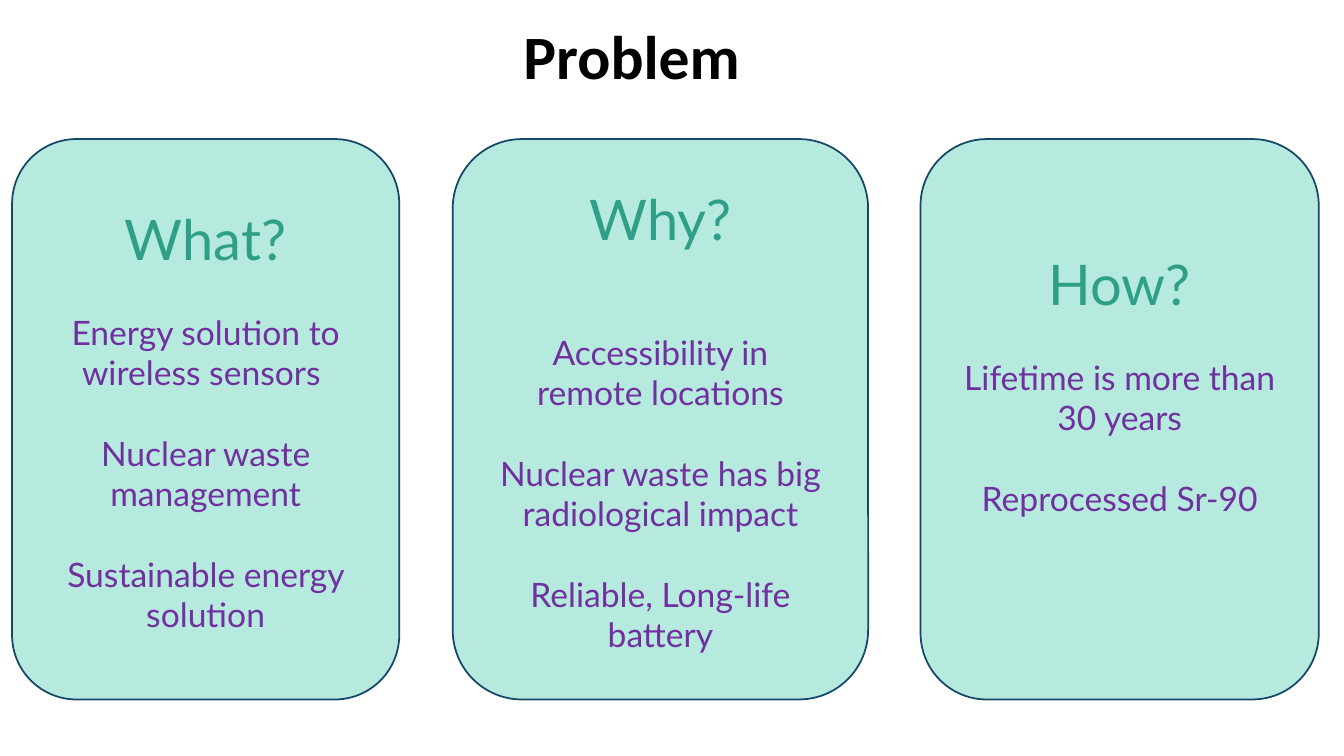
from pptx import Presentation
from pptx.dml.color import RGBColor
from pptx.enum.shapes import MSO_SHAPE
from pptx.enum.text import MSO_ANCHOR, PP_ALIGN
from pptx.util import Inches, Pt

ROUNDED = MSO_SHAPE.ROUNDED_RECTANGLE
TOP, MIDDLE = MSO_ANCHOR.TOP, MSO_ANCHOR.MIDDLE
CENTER = PP_ALIGN.CENTER
CARD_TOP, CARD_HEIGHT = 1.38, 5.56
BODY_LINE = 28.8

CARDS = [
    (0.12, 3.84, "What?", 1, 0.05,
     ["Energy solution to wireless sensors\u00a0",
      "Nuclear waste management",
      "Sustainable energy solution"]),
    (4.49, 4.12, "Why?", 2, 0.05,
     ["Accessibility\u00a0in remote\u00a0locations",
      "Nuclear waste has big radiological impact",
      "Reliable, Long-life battery"]),
    (9.13, 3.95, "How?", 1, 0.75,
     ["Lifetime is more than 30\u00a0years",
      "Reprocessed Sr-90"]),
]


def color(value):
    return RGBColor.from_string(value)


def add_run(p, text, size, font, fill, bold=False):
    p.alignment = CENTER
    r = p.add_run()
    r.text = text
    r.font.size = Pt(size)
    r.font.name = font
    r.font.bold = bold
    r.font.color.rgb = color(fill)


def add_title(s, x, y, w, h):
    sp = s.shapes.title
    sp.left, sp.top, sp.width, sp.height = map(Inches, (x, y, w, h))
    tf = sp.text_frame
    tf.word_wrap = True
    tf.vertical_anchor = TOP
    add_run(tf.paragraphs[0], "Problem\u00a0", 44, "Calibri", "000000", True)


def add_card(s, x, y, w, h, heading, gap_lines, bottom, points):
    sp = s.shapes.add_shape(ROUNDED, *map(Inches, (x, y, w, h)))
    sp.shadow.inherit = False
    sp.fill.solid()
    sp.fill.fore_color.rgb = color("B7EADE")
    sp.line.color.rgb = color("154768")
    sp.line.width = Pt(1.25)
    tf = sp.text_frame
    tf.word_wrap = True
    tf.vertical_anchor = MIDDLE
    tf.margin_bottom = Inches(bottom)
    add_run(tf.paragraphs[0], heading, 40, "Lato", "2FA087")
    for i, point in enumerate(points):
        p = tf.add_paragraph()
        p.space_before = Pt(BODY_LINE * (1 if i else gap_lines))
        add_run(p, point, 24, "Lato", "7030A0")


prs = Presentation()
prs.slide_width, prs.slide_height = Inches(13.33), Inches(7.5)
s = prs.slides.add_slide(prs.slide_layouts[5])
add_title(s, 3.54, 0.13, 5.59, 0.84)
for x, w, heading, gap_lines, bottom, points in CARDS:
    add_card(s, x, CARD_TOP, w, CARD_HEIGHT, heading, gap_lines, bottom, points)
prs.save("out.pptx")
